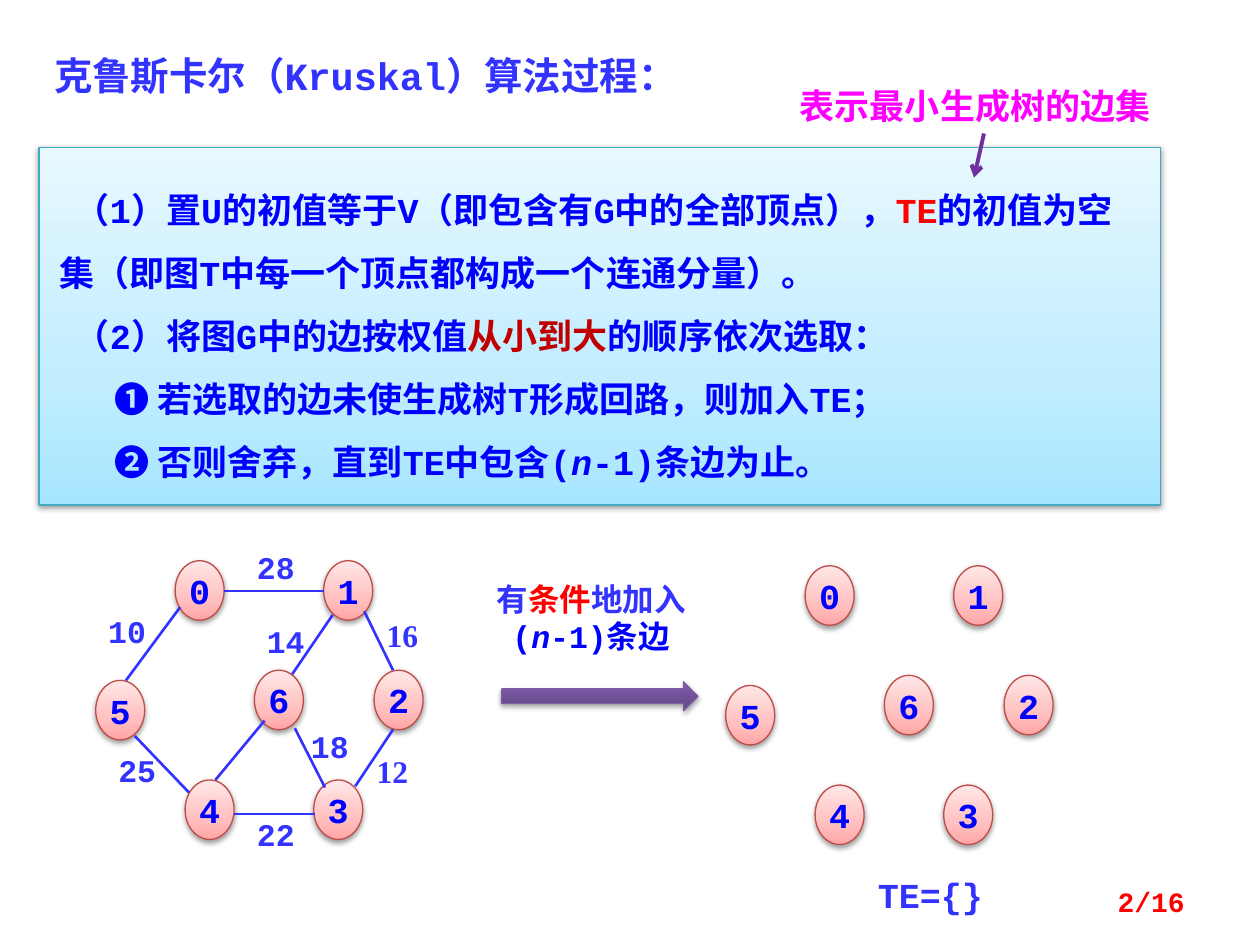
from lxml import etree
from pptx import Presentation
from pptx.dml.color import RGBColor
from pptx.enum.shapes import MSO_CONNECTOR, MSO_SHAPE
from pptx.enum.text import MSO_ANCHOR, PP_ALIGN
from pptx.oxml.ns import qn
from pptx.util import Pt

STRAIGHT = MSO_CONNECTOR.STRAIGHT
RECTANGLE, OVAL, RIGHT_ARROW = MSO_SHAPE.RECTANGLE, MSO_SHAPE.OVAL, MSO_SHAPE.RIGHT_ARROW
TOP, MIDDLE = MSO_ANCHOR.TOP, MSO_ANCHOR.MIDDLE
LEFT, CENTER, RIGHT = PP_ALIGN.LEFT, PP_ALIGN.CENTER, PP_ALIGN.RIGHT

MONO, CJK, SERIF = "Courier New", "Noto Sans CJK SC", "Times New Roman"
BLUE, INDIGO, RED, DARK_RED = "0000FF", "3333FF", "FF0000", "C00000"
MAGENTA, PURPLE = "FF00FF", "7030A0"

# Fill stops run from bottom to top
PANEL_STYLE = {"stops": [(0, "A7E6FF"), (35, "C1EDFF"), (100, "E7F8FF")],
               "line": "46AAC5", "shadow": 38}
NODE_STYLE = {"stops": [(0, "FFA6A5"), (35, "FFC0BF"), (100, "FFE7E7")],
              "line": "BF4C48", "shadow": 38}
ARROW_STYLE = {"stops": [(0, "5F4480"), (80, "7B58A6"), (100, "7C57A8")],
               "line": "7D60A0", "shadow": 35}

# Graph parts, measured from the graph's top left corner
NODE_SIZE = (28, 34)
NODES = {"0": (45.4, 0), "1": (130.3, 0), "5": (0, 68.4), "4": (51.1, 125.3),
         "3": (124.6, 125.3), "6": (90.7, 62.6), "2": (159.1, 62.6)}
EDGES = [(73.4, 17.3, 130.3, 17.3), (48.2, 26.6, 17.3, 68.4), (22.3, 100.1, 53.3, 132.5),
         (79.2, 144.7, 125.3, 144.7), (68.4, 125.3, 96.5, 91.4), (113.8, 95.8, 131, 129.6),
         (135.4, 31, 112.3, 64.8), (153.4, 28.8, 169.9, 62.6), (169.9, 96.5, 148.3, 128.9)]
WEIGHTS = [("28", 85, -10.8, MONO), ("10", 0, 25.9, MONO), ("14", 90.7, 31.7, MONO),
           ("25", 5.8, 105.1, MONO), ("18", 115.9, 91.4, MONO), ("22", 85, 141.8, MONO),
           ("16", 159.1, 28.1, SERIF), ("12", 153.4, 105.8, SERIF)]


def color(value):
    return RGBColor.from_string(value)


def set_values(target, values):
    for name, value in values.items():
        setattr(target, name, value)


def add_color_element(parent, value, alpha=None):
    element = etree.SubElement(parent, qn("a:srgbClr"), val=value)
    if alpha is not None:
        etree.SubElement(element, qn("a:alpha"), val=str(alpha * 1000))


def fill_paragraph(paragraph, runs, size, font=MONO, **layout):
    """Each run is (text, colour) or (text, colour, italic)."""
    set_values(paragraph, layout)
    for text, tone, *italic in runs:
        run = paragraph.add_run()
        run.text = text
        set_values(run.font, {"name": font, "size": Pt(size), "bold": True,
                              "italic": bool(italic)})
        run.font.color.rgb = color(tone)
        etree.SubElement(run.font._element, qn("a:ea"), typeface=CJK)


def add_text(shapes, box, runs, size, font=MONO, alignment=LEFT, anchor=TOP):
    shape = shapes.add_textbox(*map(Pt, box))
    set_values(shape.text_frame, {"word_wrap": True, "vertical_anchor": anchor})
    fill_paragraph(shape.text_frame.paragraphs[0], runs, size, font, alignment=alignment)


def add_styled_shape(shapes, kind, box, style):
    shape = shapes.add_shape(kind, *map(Pt, box))
    shape.line.color.rgb = color(style["line"])
    shape.line.width = Pt(0.75)

    # Vertical gradient
    shape.fill.gradient()
    properties = shape._element.spPr
    stop_list = properties.find(".//" + qn("a:gsLst"))
    for stop in list(stop_list):
        stop_list.remove(stop)
    for position, tone in style["stops"]:
        stop = etree.SubElement(stop_list, qn("a:gs"), pos=str(position * 1000))
        add_color_element(stop, tone)
    properties.find(".//" + qn("a:lin")).set("ang", "16200000")

    # Soft shadow below
    shape.shadow.inherit = False
    shadow = etree.SubElement(properties.find(qn("a:effectLst")), qn("a:outerShdw"),
                              blurRad=str(Pt(3.1)), dist=str(Pt(1.6)), dir="5400000",
                              rotWithShape="0")
    add_color_element(shadow, "000000", style["shadow"])
    return shape


def add_line(shapes, start, end, tone, width, arrow=False):
    connector = shapes.add_connector(STRAIGHT, *map(Pt, (*start, *end)))
    connector.line.color.rgb = color(tone)
    connector.line.width = Pt(width)
    if arrow:
        etree.SubElement(connector.line._get_or_add_ln(), qn("a:tailEnd"), type="arrow")
    etree.SubElement(connector._element.spPr, qn("a:effectLst"))


def add_steps_panel(shapes, box):
    panel = add_styled_shape(shapes, RECTANGLE, box, PANEL_STYLE)
    frame = panel.text_frame
    margins = dict.fromkeys(("margin_left", "margin_top", "margin_right", "margin_bottom"),
                            Pt(11.5))
    set_values(frame, {"word_wrap": True, "vertical_anchor": TOP, **margins})
    steps = [
        (9, [("（1）置U的初值等于V（即包含有G中的全部顶点），", BLUE), ("TE", RED),
             ("的初值为空集（即图T中每一个顶点都构成一个连通分量）。", BLUE)]),
        (9, [("（2）将图G中的边按权值", BLUE), ("从小到大", DARK_RED),
             ("的顺序依次选取：", BLUE)]),
        (31.5, [("❶ 若选取的边未使生成树T形成回路，则加入TE；", BLUE)]),
        (31.5, [("❷ 否则舍弃，直到TE中包含(", BLUE), ("n", BLUE, True),
                ("-1)条边为止。", BLUE)]),
    ]
    for index, (indent, runs) in enumerate(steps):
        paragraph = frame.add_paragraph() if index else frame.paragraphs[0]
        paragraph._p.get_or_add_pPr().set("indent", str(Pt(indent)))
        fill_paragraph(paragraph, runs, 20, alignment=LEFT, line_spacing=1.5)


def add_graph(shapes, left, top, with_edges):
    group = shapes.add_group_shape().shapes
    for label, (x, y) in NODES.items():
        node = add_styled_shape(group, OVAL, (left + x, top + y, *NODE_SIZE), NODE_STYLE)
        set_values(node.text_frame, {"word_wrap": False, "vertical_anchor": MIDDLE})
        fill_paragraph(node.text_frame.paragraphs[0], [(label, BLUE)], 20, alignment=CENTER)
    if not with_edges:
        return
    for x1, y1, x2, y2 in EDGES:
        add_line(group, (left + x1, top + y1), (left + x2, top + y2), INDIGO, 1.5)
    for weight, x, y, font in WEIGHTS:
        add_text(group, (left + x, top + y, 39.6, 29), [(weight, INDIGO)], 18, font)


def add_transition(shapes, left, top):
    group = shapes.add_group_shape().shapes
    add_styled_shape(group, RIGHT_ARROW, (left + 10.8, top + 62, 112.3, 16.6), ARROW_STYLE)
    runs = [("有", INDIGO), ("条件", RED), ("地加入", INDIGO),
            ("(", BLUE), ("n", BLUE, True), ("-1)条边", BLUE)]
    add_text(group, (left, top, 124, 51), runs, 18, alignment=CENTER)


def main():
    presentation = Presentation()
    set_values(presentation, {"slide_width": Pt(720), "slide_height": Pt(540)})
    slide = presentation.slides.add_slide(presentation.slide_layouts[6])
    shapes = slide.shapes

    # Title and steps
    add_text(shapes, (23.8, 26, 403, 34), [("克鲁斯卡尔（Kruskal）算法过程：", INDIGO)], 22)
    add_steps_panel(shapes, (22.3, 84.2, 640.8, 204.5))

    # Note on the edge set
    add_text(shapes, (450, 44.6, 225.4, 31.7), [("表示最小生成树的边集", MAGENTA)], 20, CJK)
    add_line(shapes, (562.3, 76.3), (556.6, 101.5), PURPLE, 2.25, arrow=True)

    # Weighted graph, then its vertices alone
    add_graph(shapes, 54.7, 320.4, with_edges=True)
    add_graph(shapes, 414.7, 323.3, with_edges=False)
    add_transition(shapes, 275.8, 327.6)
    add_text(shapes, (483.8, 495.4, 95.8, 31.7), [("TE={}", INDIGO)], 20, alignment=CENTER)

    # Page number
    add_text(shapes, (516.2, 500.4, 167.8, 28.8), [("2/16", RED)], 16,
             alignment=RIGHT, anchor=MIDDLE)
    presentation.save("out.pptx")


if __name__ == "__main__":
    main()
